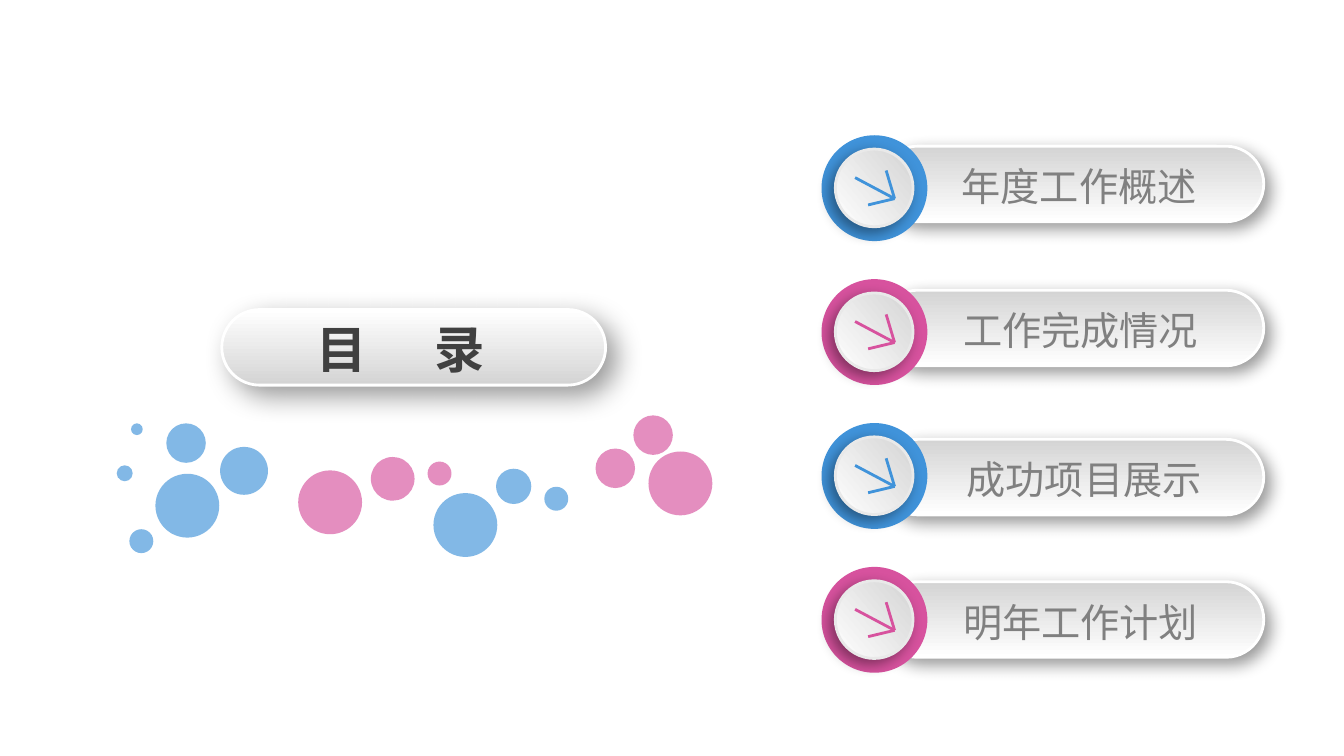
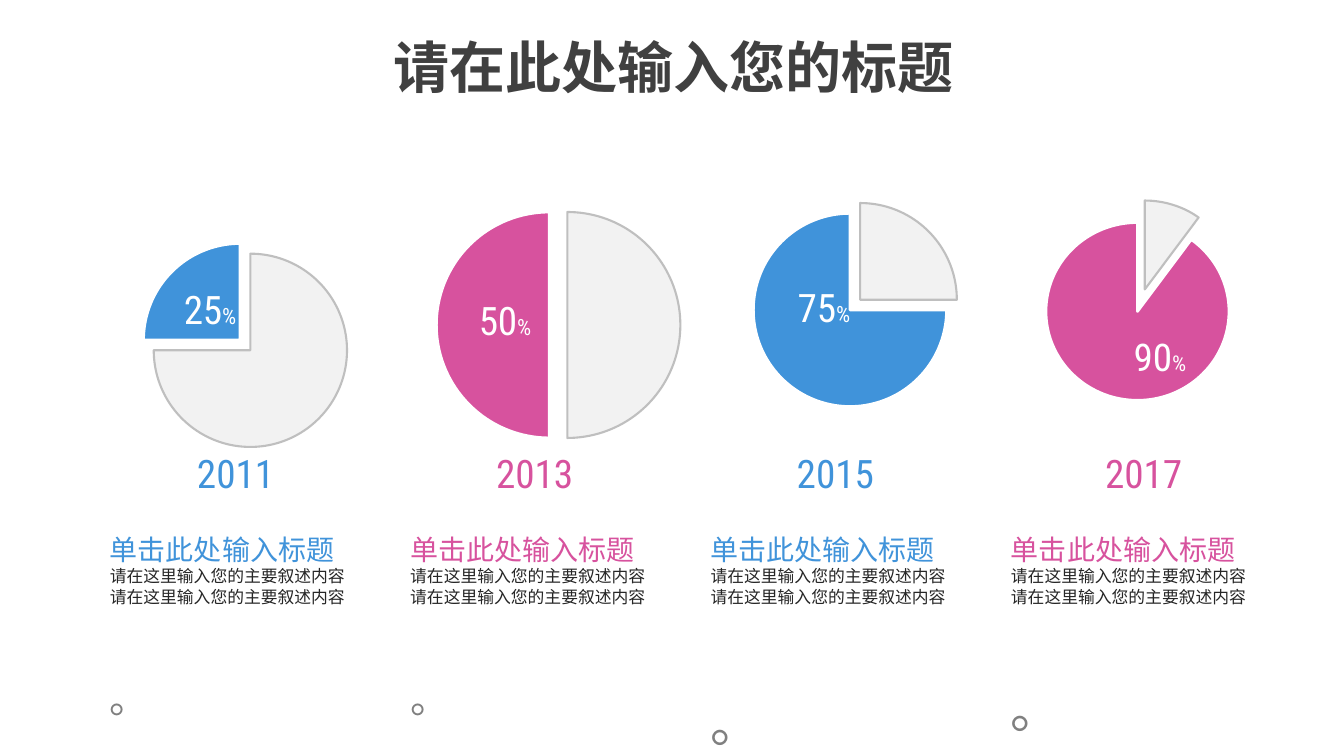
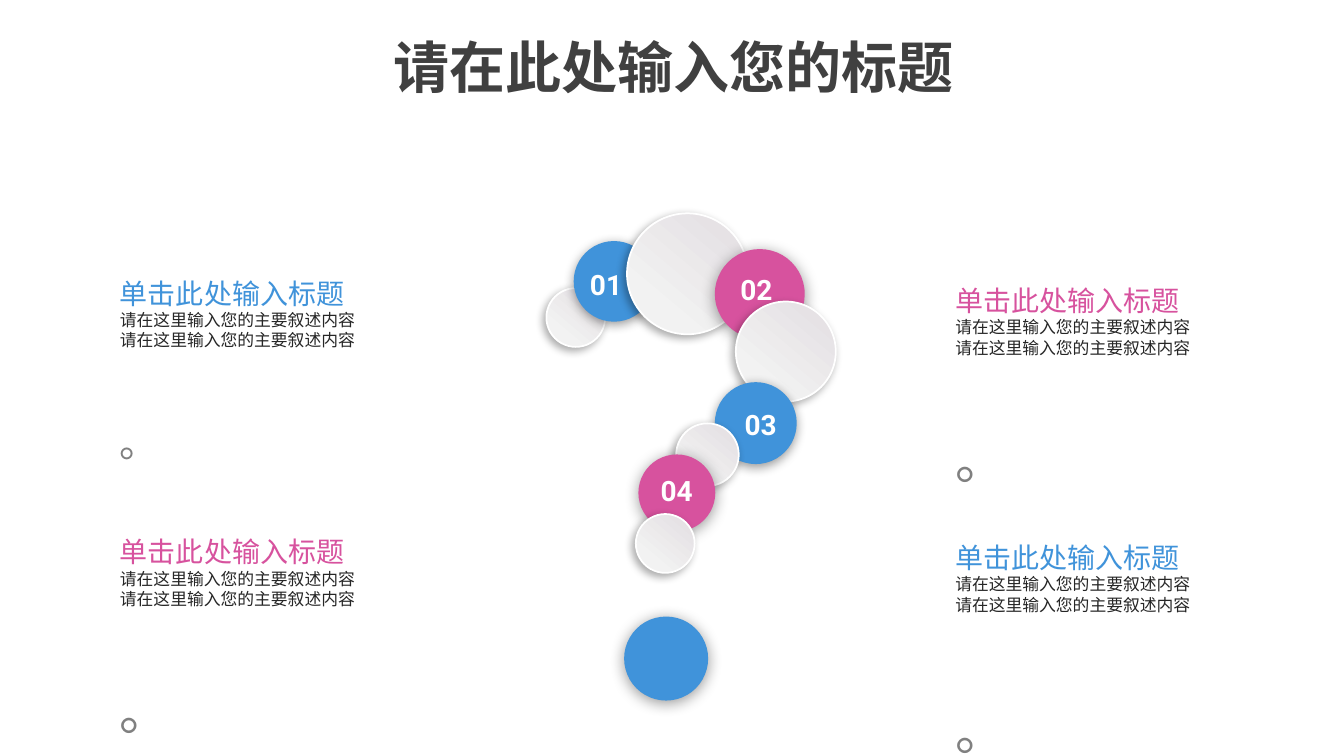
from typing import NamedTuple

from lxml import etree
from pptx import Presentation
from pptx.chart.data import CategoryChartData
from pptx.dml.color import RGBColor
from pptx.enum.chart import XL_CHART_TYPE, XL_LABEL_POSITION
from pptx.enum.shapes import MSO_CONNECTOR, MSO_SHAPE
from pptx.enum.text import PP_ALIGN
from pptx.oxml import parse_xml
from pptx.oxml.ns import nsdecls, qn
from pptx.util import Emu, Pt

OVAL, ROUND = MSO_SHAPE.OVAL, MSO_SHAPE.ROUNDED_RECTANGLE
STRAIGHT = MSO_CONNECTOR.STRAIGHT
LEFT, CENTER = PP_ALIGN.LEFT, PP_ALIGN.CENTER
PIE, MIDDLE = XL_CHART_TYPE.PIE, XL_LABEL_POSITION.CENTER

# The slide is a grid of 160 columns by 90 rows.
COLS, ROWS, CELL = 160, 90, 76200

HEX = {
    "blue": "4093DA", "pink": "D7529E", "white": "FFFFFF", "silver": "D4D4D4",
    "rim": "E9E9E9", "mist": "E2DDE1", "pale": "F2F2F2", "edge": "BFBFBF",
    "gray": "808080", "dark": "404040", "ink": "262626", "black": "000000",
}
CJK, ARIAL, ROBOTO, SLIM = "Noto Sans CJK SC", "Arial", "Roboto", "Roboto Condensed"
DUO = ("blue", "pink", "blue", "pink")


class Shade(NamedTuple):
    alpha: int
    blur: float
    dist: float
    angle: int


class Blend(NamedTuple):
    start: str
    end: str
    stop: float
    angle: int


class Style(NamedTuple):
    size: float
    color: str
    face: str = CJK
    bold: bool = False
    lead: float = 0  # line height as a share of the size, 0 for natural


class Ball(NamedTuple):
    x: float
    y: float
    size: float
    color: str
    blur: int = 0


class Entry(NamedTuple):
    text: str
    x: float
    y: float


class Note(NamedTuple):
    x: float
    y: float
    color: str
    ring: int
    gap: int


class Tag(NamedTuple):
    text: str
    x: float
    y: float


class Share(NamedTuple):
    """One pie; its centre, side and label shift are shares of the chart."""
    year: str
    value: int
    x: float
    year_x: float
    mid: tuple[float, float]
    side: float
    burst: int
    shift: tuple[float, float]


HEAD = Style(40, "dark", bold=True, lead=1.25)
MENU = Style(36, "dark", bold=True, lead=1.25)
ITEM = Style(28, "gray", lead=1.25)
BODY = Style(12, "ink", lead=1.2)
NUMBER = Style(20, "white", ROBOTO, True)

PILL_W, PILL_H = 45.7, 9
ENTRIES = [
    Entry("年度工作概述", 113.3, 17.4), Entry("工作完成情况", 113.5, 34.55),
    Entry("成功项目展示", 113.9, 52.3), Entry("明年工作计划", 113.5, 69.25),
]
TIP = (8.7, 7.55)
BARBS = [(4, 5.05), (7.7, 4.2), (5.55, 8.3)]
BUBBLES = [
    Ball(77.2, 53.75, 7.6, "pink"), Ball(51.6, 58.7, 7.6, "blue"),
    Ball(18.5, 56.4, 7.6, "blue"), Ball(35.5, 56, 7.6, "pink"),
    Ball(44.15, 54.4, 5.2, "pink"), Ball(70.9, 53.4, 4.7, "pink"),
    Ball(75.4, 49.45, 4.7, "pink"), Ball(19.8, 50.4, 4.7, "blue"),
    Ball(26.2, 53.2, 5.7, "blue"), Ball(59.05, 55.8, 4.2, "blue"),
    Ball(64.8, 57.95, 2.85, "blue"), Ball(50.9, 54.95, 2.85, "pink"),
    Ball(15.4, 63, 2.85, "blue"), Ball(13.9, 55.4, 1.9, "blue"),
    Ball(15.6, 50.4, 1.4, "blue"),
]

CHART_W, CHART_H = 48.35, 29.9
SHARES = [
    Share("2011", 25, 2, 19.6, (0.55, 0.56), 0.77, 15, (0.01, 0.02)),
    Share("2013", 50, 38.3, 55.2, (0.56, 0.5), 0.9, 16, (0.03, -0.01)),
    Share("2015", 75, 74.6, 91, (0.55, 0.44), 0.77, 15, (0.02, -0.14)),
    Share("2017", 90, 110.3, 127.7, (0.52, 0.43), 0.73, 26, (0.09, 0.02)),
]
RINGS = [(28, 32), (28, 32), (36, 40), (36, 32)]

CHAIN = [
    Ball(65.05, 34.3, 7, "pale"), Ball(68.3, 28.7, 9.6, "blue", 8),
    Ball(74.65, 25.4, 14.4, "pale"), Ball(85.1, 29.65, 10.7, "pink", 11),
    Ball(87.6, 35.9, 11.9, "pale"), Ball(85.1, 45.5, 9.75, "blue", 8),
    Ball(80.5, 50.4, 7.45, "pale"), Ball(76, 54.1, 9.15, "pink", 11),
    Ball(75.7, 61.2, 7, "pale"), Ball(74.3, 73.4, 10, "blue", 11),
]
TAGS = [Tag("01", 67.3, 31.3), Tag("02", 85.2, 31.8),
        Tag("03", 85.7, 47.9), Tag("04", 75.7, 55.8)]
NOTES = [
    Note(13.1, 32.15, "blue", 28, 32), Note(13.1, 62.9, "pink", 36, 32),
    Note(112.55, 33, "pink", 36, 32), Note(112.55, 63.6, "blue", 36, 40),
]


def grid(*cells: float) -> list[Emu]:
    return [Emu(round(cell * CELL)) for cell in cells]


def rgb(name: str) -> RGBColor:
    return RGBColor.from_string(HEX[name])


def paint(shape, fill: str | Blend) -> None:
    if isinstance(fill, str):
        shape.fill.solid()
        shape.fill.fore_color.rgb = rgb(fill)
        return
    shape.fill.gradient()
    shape.fill.gradient_angle = 360 - fill.angle
    first, last = shape.fill.gradient_stops
    first.color.rgb, first.position = rgb(fill.start), 0
    last.color.rgb, last.position = rgb(fill.end), fill.stop


def cast(shape, shade: Shade) -> None:
    """Give the shape an outer shadow."""
    effects = shape._element.spPr.find(qn("a:effectLst"))
    effects.append(parse_xml(
        f'<a:outerShdw {nsdecls("a")} blurRad="{Pt(shade.blur)}" dist="{Pt(shade.dist)}" '
        f'dir="{shade.angle * 60000}" algn="ctr" rotWithShape="0">'
        f'<a:srgbClr val="{HEX["black"]}"><a:alpha val="{shade.alpha * 1000}"/>'
        '</a:srgbClr></a:outerShdw>'))


def form(slide, kind, box: tuple, fill: str | Blend, rim: str = "",
         width: float = 2, shade: Shade | None = None):
    shape = slide.shapes.add_shape(kind, *grid(*box))
    shape.shadow.inherit = False
    paint(shape, fill)
    if rim:
        shape.line.color.rgb = rgb(rim)
        shape.line.width = Pt(width)
    else:
        shape.line.fill.background()
    if shade:
        cast(shape, shade)
    return shape


def stroke(slide, start: tuple, end: tuple, color: str) -> None:
    line = slide.shapes.add_connector(STRAIGHT, *grid(*start, *end))
    line.line.color.rgb = rgb(color)
    line.line.width = Pt(2)
    etree.SubElement(line._element.spPr, qn("a:effectLst"))


def dress(para, style: Style) -> None:
    if style.lead:
        para.line_spacing = Pt(style.size * style.lead)
    font = para.font
    font.size, font.bold, font.name = Pt(style.size), style.bold, style.face
    font.color.rgb = rgb(style.color)
    east = parse_xml(f'<a:ea {nsdecls("a")} typeface="{style.face}"/>')
    font._element.find(qn("a:latin")).addnext(east)


def write(slide, box: tuple, lines: list[tuple[str, Style]], align=LEFT, tab: float = 0):
    frame = slide.shapes.add_textbox(*grid(*box)).text_frame
    frame.word_wrap = True
    for i, (text, style) in enumerate(lines):
        para = frame.add_paragraph() if i else frame.paragraphs[0]
        para.text = text
        if tab:
            para._p.get_or_add_pPr().append(parse_xml(
                f'<a:tabLst {nsdecls("a")}><a:tab pos="{grid(tab)[0]}" algn="l"/></a:tabLst>'))
        para.alignment = align
        dress(para, style)
    return frame


def title(slide) -> None:
    write(slide, (45.2, 2.9, 70, 9.2), [("请在此处输入您的标题", HEAD)], CENTER)


def note(slide, item: Note) -> None:
    """Heading, two lines of body and a ring mark below a gap."""
    body = ("请在这里输入您的主要叙述内容", BODY)
    frame = write(slide, (item.x, item.y, 31, 24), [
        ("单击此处输入标题", Style(20, item.color, lead=1.25)), body, body,
        ("。", Style(item.ring, "gray", ARIAL, lead=1.56))])
    frame.paragraphs[-1].space_before = Pt(item.gap * 1.2)


def layout(x: float, y: float, size: str = "", target: str = ""):
    edge = '<c:xMode val="edge"/><c:yMode val="edge"/>' if target else ""
    return parse_xml(f'<c:layout {nsdecls("c")}><c:manualLayout>{target}{edge}'
                     f'<c:x val="{x:.3f}"/><c:y val="{y:.3f}"/>{size}'
                     '</c:manualLayout></c:layout>')


def place(chart, item: Share) -> None:
    """Set the pie's square inside the chart."""
    wide = item.side * CHART_H / CHART_W
    area = chart._chartSpace.chart.plotArea
    for old in area.findall(qn("c:layout")):
        area.remove(old)
    area.insert(0, layout(
        item.mid[0] - wide / 2, item.mid[1] - item.side / 2,
        f'<c:w val="{wide:.3f}"/><c:h val="{item.side:.3f}"/>',
        '<c:layoutTarget val="inner"/>'))


def label(series, item: Share) -> None:
    series.data_labels.show_value = False
    mark = series.points[1].data_label
    para = mark.text_frame.paragraphs[0]
    for text, size in ((str(item.value), 28), ("%", 16)):
        run = para.add_run()
        run.text = text
        run.font.size, run.font.name = Pt(size), SLIM
        run.font.color.rgb = rgb("white")
    mark.position = MIDDLE
    tag = series._element.find(".//" + qn("c:dLbl"))
    for old in tag.findall(qn("c:layout")):
        tag.remove(old)
    tag.find(qn("c:idx")).addnext(layout(*item.shift))


def pie(slide, item: Share, color: str) -> None:
    data = CategoryChartData()
    data.categories = ["1", "2"]
    data.add_series("Series 1", (100 - item.value, item.value))
    box = grid(item.x, 23.75, CHART_W, CHART_H)
    chart = slide.shapes.add_chart(PIE, *box, data).chart
    chart.has_title = chart.has_legend = False
    chart.font.size, chart.font.name = Pt(10), "Calibri"
    chart.font.color.rgb = rgb("black")
    plot = chart.plots[0]
    plot.vary_by_categories = True
    series = plot.series[0]
    for i, (fill, rim, width) in enumerate([("pale", "edge", 1.5), (color, "white", 2)]):
        look = series.points[i].format
        paint(look, fill)
        look.line.color.rgb = rgb(rim)
        look.line.width = Pt(width)
    skin = series._element.find(qn("c:dPt")).find(qn("c:spPr"))
    skin.addprevious(parse_xml(f'<c:explosion {nsdecls("c")} val="{item.burst}"/>'))
    label(series, item)
    place(chart, item)


def pill(slide, x: float, y: float, angle: int, shade: Shade) -> None:
    shape = form(slide, ROUND, (x, y, PILL_W, PILL_H),
                 Blend("white", "silver", 1, angle), "white", 2, shade)
    shape.adjustments[0] = 0.5


def badge(slide, x: float, y: float, color: str) -> None:
    form(slide, OVAL, (x, y, 12.6, 12.6), color)
    form(slide, OVAL, (x + 1.65, y + 1.65, 9.25, 9.25),
         Blend("white", "silver", 1, 320), "rim", 2, Shade(40, 10, 5, 135))
    for dx, dy in BARBS:
        stroke(slide, (x + dx, y + dy), (x + TIP[0], y + TIP[1]), color)


def agenda(slide) -> None:
    for item in ENTRIES:
        pill(slide, 104.75, item.y, 270, Shade(40, 12, 6, 45))
        write(slide, (item.x, item.y + 1.1, 32.5, 6.8), [(item.text, ITEM)])
    for i, color in enumerate(DUO):
        badge(slide, 97.8, 16.1 + 17.13 * i, color)
    pill(slide, 26.4, 36.85, 90, Shade(40, 20, 10, 45))
    write(slide, (36.5, 36.95, 28.2, 8.5), [("目\t录", MENU)], tab=14.1)
    for ball in BUBBLES:
        shape = form(slide, OVAL, (ball.x, ball.y, ball.size, ball.size), ball.color)
        tint = shape._element.spPr.find(".//" + qn("a:srgbClr"))
        etree.SubElement(tint, qn("a:alpha")).set("val", "65000")


def growth(slide) -> None:
    title(slide)
    for item, color in zip(SHARES, DUO):
        pie(slide, item, color)
        write(slide, (item.year_x, 52.9, 16.9, 6.6),
              [(item.year, Style(28, color, SLIM))], CENTER)
    for i, (color, ring) in enumerate(zip(DUO, RINGS)):
        note(slide, Note(11.9 + 35.76 * i, 62.65, color, *ring))


def question(slide) -> None:
    title(slide)
    for ball in CHAIN:
        box = (ball.x, ball.y, ball.size, ball.size)
        if ball.color == "pale":
            form(slide, OVAL, box, Blend("mist", "pale", 0.76, 130),
                 "white", 1.25, Shade(32, 6, 3, 135))
        else:
            form(slide, OVAL, box, ball.color, shade=Shade(40, ball.blur, 2, 90))
    for tag in TAGS:
        write(slide, (tag.x, tag.y, 9.7, 5.3), [(tag.text, NUMBER)], CENTER)
    for item in NOTES:
        note(slide, item)


def main() -> None:
    deck = Presentation()
    deck.slide_width, deck.slide_height = grid(COLS, ROWS)
    for draw in (agenda, growth, question):
        draw(deck.slides.add_slide(deck.slide_layouts[6]))
    deck.save("out.pptx")


if __name__ == "__main__":
    main()
